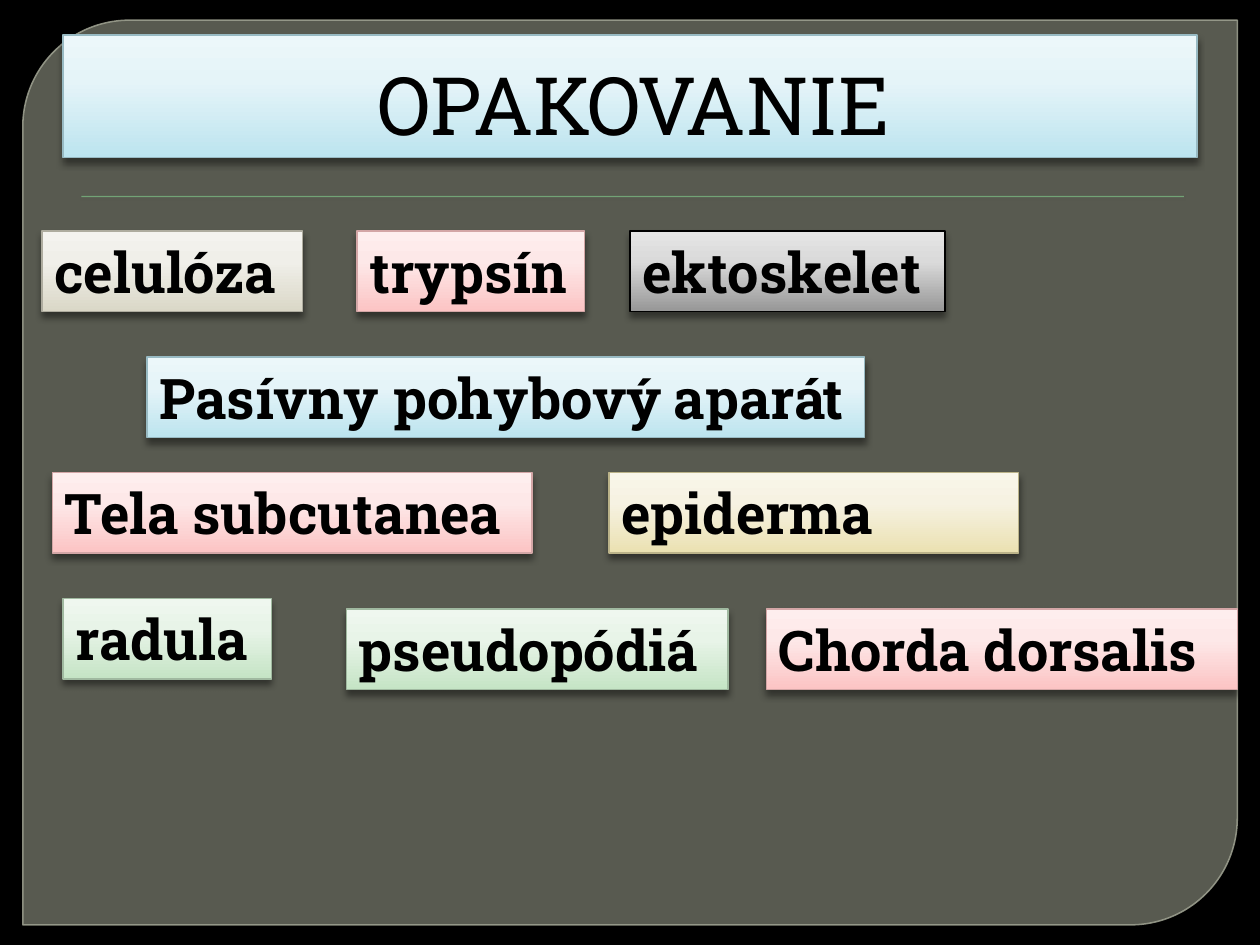
from copy import deepcopy

from lxml.etree import SubElement
from pptx import Presentation
from pptx.dml.color import RGBColor
from pptx.enum.shapes import MSO_SHAPE as Preset
from pptx.enum.text import MSO_ANCHOR as Anchor, MSO_AUTO_SIZE as AutoSize, PP_ALIGN as Align
from pptx.oxml.ns import qn
from pptx.util import Pt

HEADING = "OPAKOVANIE"
HEADING_BOX = (36, 20, 648, 70)
PANEL_BOX = (13, 11.5, 694, 517)
RULE_BOX = (46.5, 112, 630, 0.75)
TERM_HEIGHT = 46

# Gradient colours from bottom to top, then the outline
THEMES = {
    "blue": ("BCE4EF", "E5F4F8", "ECF7FA", "98BAC3"),
    "stone": ("DAD7C7", "F0EFE9", "F4F3EF", "AEAC9F"),
    "pink": ("FCC4C4", "FDE8E8", "FEEEEE", "D3A6A6"),
    "grey": ("979797", "DADADA", "E5E5E5", "000000"),
    "sand": ("EBE1B1", "F6F2E2", "F9F6EA", "BBB389"),
    "green": ("C5E4C5", "E8F4E8", "EFF7EF", "A0B9A0"),
}
STOPS = (0, 0.62, 1)

# Term, theme, left, top, width
TERMS = [
    ("celulóza", "stone", 24, 132, 149),
    ("trypsín", "pink", 204, 132, 130),
    ("ektoskelet", "grey", 360, 132, 180),
    ("Pasívny pohybový aparát", "blue", 84, 204, 410),
    ("Tela subcutanea", "pink", 30, 270, 274),
    ("epiderma", "sand", 348, 270, 234),
    ("radula", "green", 36, 342, 119),
    ("pseudopódiá", "green", 198, 348, 218),
    ("Chorda dorsalis", "pink", 438, 348, 269),
]


def rgb(value):
    return RGBColor.from_string(value)


def points(box):
    return [Pt(length) for length in box]


def add_alpha(color, percent):
    SubElement(color, qn("a:alpha"), val=str(percent * 1000))


def add_shadow(shape, blur, distance, percent):
    """Give the shape a black shadow that falls straight down."""
    shape.shadow.inherit = False
    effects = shape.element.spPr.find(qn("a:effectLst"))
    outer = SubElement(effects, qn("a:outerShdw"), blurRad=str(Pt(blur)),
                       dist=str(Pt(distance)), dir="5400000", rotWithShape="0")
    add_alpha(SubElement(outer, qn("a:srgbClr"), val="000000"), percent)


def apply_theme(shape, theme):
    *shades, outline = THEMES[theme]
    fill = shape.fill
    fill.gradient()
    fill.gradient_angle = 90
    stop_list = next(shape.element.spPr.iter(qn("a:gsLst")))
    stop_list.append(deepcopy(stop_list[0]))
    for stop, position, shade in zip(fill.gradient_stops, STOPS, shades):
        stop.position = position
        stop.color.rgb = rgb(shade)
    shape.line.color.rgb = rgb(outline)
    shape.line.width = Pt(0.75)
    add_shadow(shape, 4, 3, 43)


def write(shape, wording, size, bold, anchor, align):
    frame = shape.text_frame
    frame.text = wording
    frame_format = {"word_wrap": True, "auto_size": AutoSize.NONE, "vertical_anchor": anchor}
    for name, value in frame_format.items():
        setattr(frame, name, value)
    paragraph = frame.paragraphs[0]
    paragraph.alignment = align
    font = paragraph.runs[0].font
    for name, value in {"name": "Roboto Slab", "size": Pt(size), "bold": bold}.items():
        setattr(font, name, value)
    font.color.rgb = rgb("000000")


def add_backdrop(slide):
    background = slide.background.fill
    background.solid()
    background.fore_color.rgb = rgb("000000")

    panel = slide.shapes.add_shape(Preset.ROUND_2_DIAG_RECTANGLE, *points(PANEL_BOX))
    panel.adjustments[0], panel.adjustments[1] = 0.118, 0
    panel.shadow.inherit = False
    panel.fill.solid()
    panel.fill.fore_color.rgb = rgb("888B7B")
    panel.line.color.rgb = rgb("9DA090")
    panel.line.width = Pt(0.87)
    for color, percent in zip(panel.element.spPr.iter(qn("a:srgbClr")), (65, 88)):
        add_alpha(color, percent)

    rule = slide.shapes.add_shape(Preset.RECTANGLE, *points(RULE_BOX))
    rule.fill.solid()
    rule.fill.fore_color.rgb = rgb("72A376")
    rule.line.fill.background()
    add_shadow(rule, 1, 1, 75)


def add_heading(slide):
    heading = slide.shapes.title
    slide.shapes.element.append(heading.element)  # in front of the panel
    for name, length in zip(("left", "top", "width", "height"), points(HEADING_BOX)):
        setattr(heading, name, length)
    apply_theme(heading, "blue")
    write(heading, HEADING, 46, False, Anchor.BOTTOM, Align.CENTER)
    heading.text_frame.paragraphs[0].runs[0].font.bold = False
    heading.text_frame.margin_left = Pt(11.5)


def add_terms(slide):
    for term, theme, left, top, width in TERMS:
        box = slide.shapes.add_textbox(*points((left, top, width, TERM_HEIGHT)))
        apply_theme(box, theme)
        write(box, term, 32, True, Anchor.TOP, Align.LEFT)


def main():
    deck = Presentation()
    deck.slide_width, deck.slide_height = Pt(720), Pt(540)
    slide = deck.slides.add_slide(deck.slide_layouts[5])
    add_backdrop(slide)
    add_heading(slide)
    add_terms(slide)
    deck.save("out.pptx")


if __name__ == "__main__":
    main()
